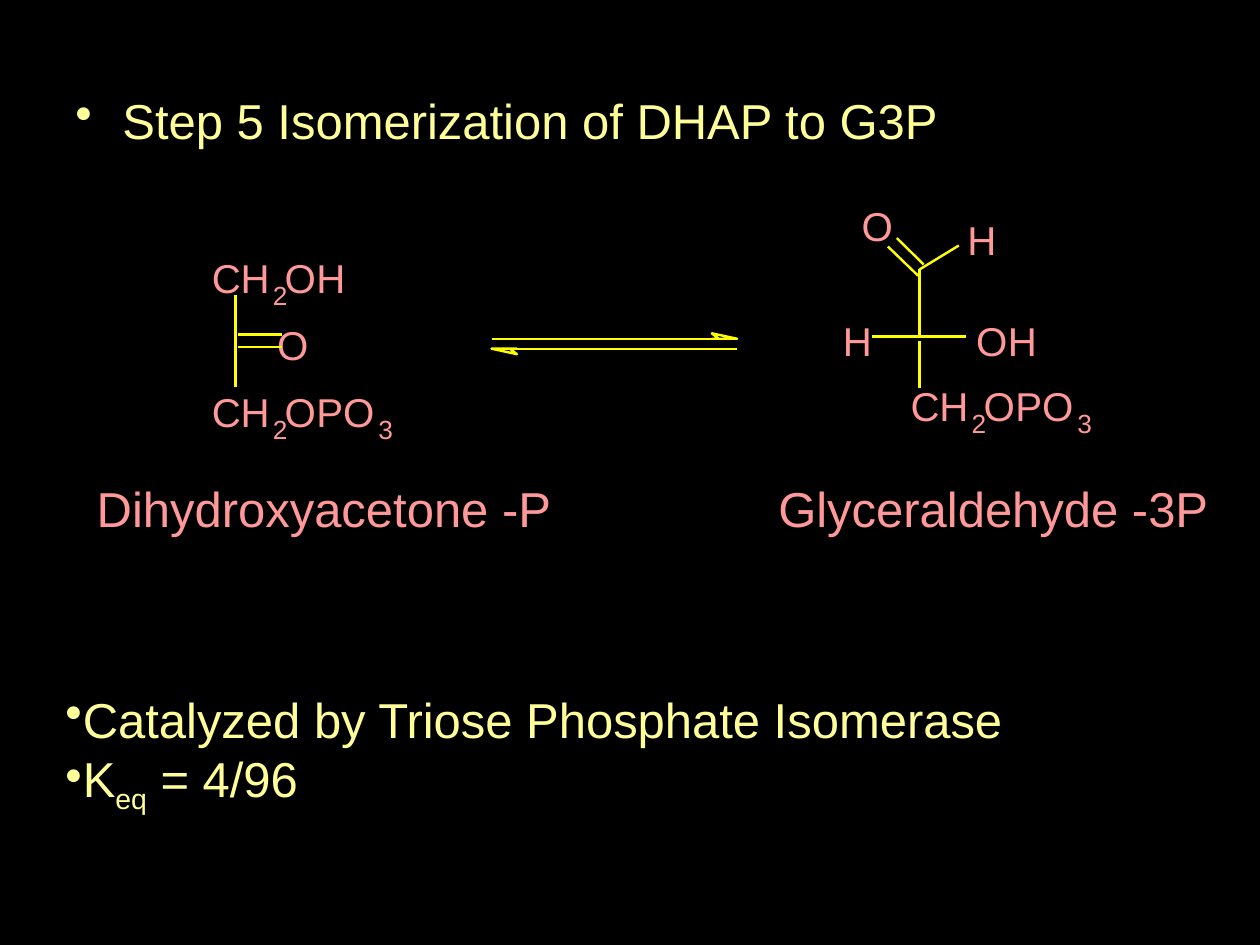
from dataclasses import dataclass
from itertools import pairwise

from lxml.etree import SubElement
from pptx import Presentation
from pptx.dml.color import RGBColor
from pptx.enum.shapes import MSO_CONNECTOR
from pptx.enum.text import MSO_AUTO_SIZE
from pptx.oxml.ns import qn
from pptx.util import Cm, Pt


@dataclass(frozen=True)
class Theme:
    background: RGBColor = RGBColor(0x00, 0x00, 0x00)
    text: RGBColor = RGBColor(0xFF, 0xFF, 0x99)
    molecule: RGBColor = RGBColor(0xFF, 0x99, 0x99)
    bond: RGBColor = RGBColor(0xFF, 0xFF, 0x00)
    font: str = "Arial"
    body_size: float = 28
    atom_size: float = 23
    subscript_size: float = 15
    bond_width: float = 1.38


THEME = Theme()
ATOM_WIDTHS = {"C": 0.58, "H": 0.58, "O": 0.64, "P": 0.54}
ATOM_HEIGHT = 0.97
SUBSCRIPT_ADVANCE = 0.31
SUBSCRIPT_SHIFT = (0.07, 0.52)


def add_text_frame(slide, left, top, width, height, wrap=True, inset=True):
    box = slide.shapes.add_textbox(Cm(left), Cm(top), Cm(width), Cm(height))
    frame = box.text_frame
    frame.word_wrap = wrap
    frame.auto_size = MSO_AUTO_SIZE.SHAPE_TO_FIT_TEXT
    if not inset:
        frame.margin_left = frame.margin_right = 0
        frame.margin_top = frame.margin_bottom = 0
    return frame


def add_run(paragraph, text, size, color, baseline=0):
    """Add a run; baseline is a shift in percent, negative for a subscript."""
    run = paragraph.add_run()
    run.text = text
    run.font.name = THEME.font
    run.font.size = Pt(size)
    run.font.color.rgb = color
    if baseline:
        run.font._element.set("baseline", str(baseline * 1000))


def add_bullets(slide, left, top, width, height, items, hanging=0):
    """Place bulleted items, each a list of (text, baseline) runs."""
    frame = add_text_frame(slide, left, top, width, height)
    for index, item in enumerate(items):
        paragraph = frame.add_paragraph() if index else frame.paragraphs[0]
        properties = paragraph._p.get_or_add_pPr()
        properties.set("marL", str(Cm(hanging)))
        properties.set("indent", str(-Cm(hanging)))
        SubElement(properties, qn("a:buChar"), char="•")
        for text, baseline in item:
            add_run(paragraph, text, THEME.body_size, THEME.text, baseline)


def add_bond(slide, left, top, start, end):
    """Draw a line between two points given relative to (left, top)."""
    line = slide.shapes.add_connector(
        MSO_CONNECTOR.STRAIGHT,
        Cm(left + start[0]), Cm(top + start[1]),
        Cm(left + end[0]), Cm(top + end[1]),
    )
    line.line.color.rgb = THEME.bond
    line.line.width = Pt(THEME.bond_width)
    SubElement(line._element.spPr, qn("a:effectLst"))


def add_formula(slide, left, top, formula):
    """Set a formula atom by atom, with its digits lowered."""
    for symbol in formula:
        if symbol.isdigit():
            width, height = SUBSCRIPT_ADVANCE, 0.64
            shift_x, shift_y = SUBSCRIPT_SHIFT
            size = THEME.subscript_size
        else:
            width, height = ATOM_WIDTHS[symbol], ATOM_HEIGHT
            shift_x = shift_y = 0
            size = THEME.atom_size
        frame = add_text_frame(slide, left + shift_x, top + shift_y,
                               width, height, wrap=False, inset=False)
        add_run(frame.paragraphs[0], symbol, size, THEME.molecule)
        left += width


def add_dihydroxyacetone(slide, left, top):
    row = 1.35
    axis = 0.48
    add_formula(slide, left, top, "CH2OH")
    add_formula(slide, left + 1.32, top + row, "O")
    add_formula(slide, left, top + 2 * row, "CH2OPO3")
    for start_y, end_y in pairwise((0.84, 1.75, 2.69)):
        add_bond(slide, left, top, (axis, start_y), (axis, end_y))
    for y in (1.63, 1.88):
        add_bond(slide, left, top, (axis + 0.05, y), (1.42, y))


def add_glyceraldehyde(slide, left, top):
    aldehyde, center = (1.55, 1.37), (1.55, 2.72)
    formulas = (
        (0.38, 0, "O"), (2.51, 0.28, "H"),
        (0, 2.31, "H"), (2.69, 2.31, "OH"),
        (1.37, 3.63, "CH2OPO3"),
    )
    bonds = (
        (aldehyde, center),
        ((1.55, 2.82), (1.55, 3.76)),
        (center, (0.58, 2.72)),
        (center, (2.49, 2.72)),
        (aldehyde, (2.34, 0.89)),
        ((1.63, 1.27), (1.09, 0.74)),
        ((1.52, 1.5), (0.91, 0.91)),
    )
    for x, y, formula in formulas:
        add_formula(slide, left + x, top + y, formula)
    for start, end in bonds:
        add_bond(slide, left, top, start, end)


def add_equilibrium_arrows(slide, left, top, width):
    """Draw two opposed half-headed arrows, one above the other."""
    head, notch, barb = 0.51, 0.37, 0.11
    for direction, tail, tip, y in ((1, 0, width, 0.1), (-1, width, 0, 0.3)):
        base = tip - direction * head
        inner = tip - direction * notch
        add_bond(slide, left, top, (tail, y), (base, y))
        points = [(inner, y), (base, y - direction * barb),
                  (tip, y), (inner, y)]
        builder = slide.shapes.build_freeform(Cm(left + base), Cm(top + y))
        builder.add_line_segments(
            [(Cm(left + x), Cm(top + point_y)) for x, point_y in points])
        shape = builder.convert_to_shape()
        shape.shadow.inherit = False
        shape.fill.solid()
        shape.fill.fore_color.rgb = THEME.background
        shape.line.color.rgb = THEME.bond
        shape.line.width = Pt(THEME.bond_width)


def add_molecule_name(slide, left, top, width, name):
    frame = add_text_frame(slide, left, top, width, 1.45, wrap=False)
    add_run(frame.paragraphs[0], name, THEME.body_size, THEME.molecule)


def build_isomerization_slide(presentation):
    slide = presentation.slides.add_slide(presentation.slide_layouts[6])
    slide.background.fill.solid()
    slide.background.fill.fore_color.rgb = THEME.background

    add_bullets(slide, 1.27, 1.7, 22.86, 1.7,
                [[("Step 5 Isomerization of DHAP to G3P", 0)]], hanging=0.95)
    add_bullets(slide, 1.07, 13.77, 23.7, 3.23, [
        [("Catalyzed by Triose Phosphate Isomerase", 0)],
        [("K", 0), ("eq", -25), (" = 4/96", 0)],
    ])
    add_equilibrium_arrows(slide, 9.91, 6.73, 4.95)
    add_dihydroxyacetone(slide, 4.27, 5.11)
    add_glyceraldehyde(slide, 16.99, 4.06)
    add_molecule_name(slide, 1.7, 9.53, 9.7, "Dihydroxyacetone -P")
    add_molecule_name(slide, 15.44, 9.53, 9.2, "Glyceraldehyde -3P")


def main():
    presentation = Presentation()
    presentation.slide_width = Cm(25.4)
    presentation.slide_height = Cm(19.05)
    build_isomerization_slide(presentation)
    presentation.save("out.pptx")


if __name__ == "__main__":
    main()
